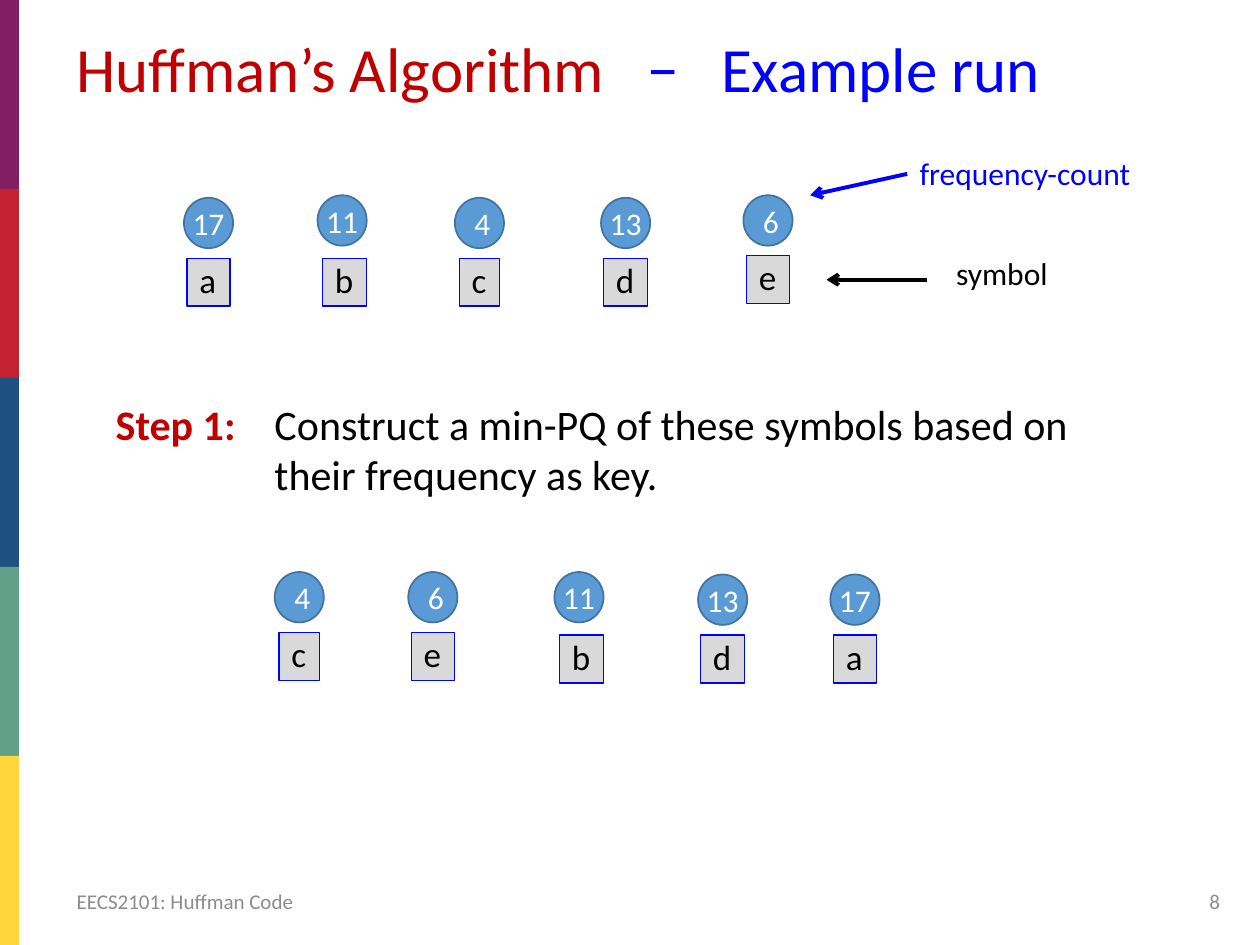
from lxml import etree
from pptx import Presentation
from pptx.dml.color import RGBColor
from pptx.enum.shapes import MSO_CONNECTOR, MSO_SHAPE
from pptx.enum.text import MSO_ANCHOR, MSO_AUTO_SIZE, PP_ALIGN
from pptx.oxml.ns import qn
from pptx.util import Inches, Pt

FONT = "Calibri"
RED, BLUE, BLACK, WHITE, GREY = "C00000", "0000FF", "000000", "FFFFFF", "8C8C8C"
BAND_COLORS = ["821E64", "C32330", "1E5082", "5FA087", "FFD73C"]
SYMBOL_WIDTHS = {"a": 0.34, "b": 0.35, "c": 0.32, "d": 0.35, "e": 0.34}
CIRCLE_WIDTH, CIRCLE_HEIGHT, BOX_HEIGHT = 0.39, 0.4, 0.38
INPUT_NODES = [("a", 17, 1.46, 1.57), ("b", 11, 2.52, 1.55), ("c", 4, 3.61, 1.57),
               ("d", 13, 4.77, 1.57), ("e", 6, 5.9, 1.55)]
QUEUE_NODES = [("c", 4, 2.18, 4.54), ("e", 6, 3.24, 4.54), ("b", 11, 4.4, 4.54),
               ("d", 13, 5.54, 4.56), ("a", 17, 6.59, 4.56)]


def rgb(color):
    """Turn a hex string into a colour."""
    return RGBColor.from_string(color)


def format_run(run, size, color, bold=False):
    """Set the font of one run."""
    run.font.name = FONT
    run.font.size = Pt(size)
    run.font.bold = bold
    run.font.color.rgb = rgb(color)


def add_panel(shapes, kind, left, top, width, height, fill, line=None, weight=1):
    """Add a flat preset shape with an optional outline."""
    shape = shapes.add_shape(kind, Inches(left), Inches(top), Inches(width), Inches(height))
    shape.shadow.inherit = False
    shape.fill.solid()
    shape.fill.fore_color.rgb = rgb(fill)
    if line:
        shape.line.color.rgb = rgb(line)
        shape.line.width = Pt(weight)
    else:
        shape.line.fill.background()
    return shape


def set_insets(text_frame, side, top, bottom):
    """Set the inner margins of a text frame."""
    text_frame.margin_left = text_frame.margin_right = Inches(side)
    text_frame.margin_top = Inches(top)
    text_frame.margin_bottom = Inches(bottom)


def add_text(shapes, left, top, width, height, runs, size, wrap=True, anchor=MSO_ANCHOR.TOP):
    """Add a one-paragraph text box from (text, colour, bold) runs and return the paragraph."""
    text_box = shapes.add_textbox(Inches(left), Inches(top), Inches(width), Inches(height))
    text_frame = text_box.text_frame
    text_frame.word_wrap = wrap
    text_frame.vertical_anchor = anchor
    if not wrap:
        text_frame.auto_size = MSO_AUTO_SIZE.SHAPE_TO_FIT_TEXT
    paragraph = text_frame.paragraphs[0]
    for text, color, bold in runs:
        run = paragraph.add_run()
        run.text = text
        format_run(run, size, color, bold)
    return paragraph


def add_node(shapes, symbol, count, left, top):
    """Add a frequency circle with its symbol box below."""
    shift, drop = (0.02, 0.5) if symbol == "b" else (0, 0.48)
    width = SYMBOL_WIDTHS[symbol]
    box = add_panel(shapes, MSO_SHAPE.RECTANGLE, left + (CIRCLE_WIDTH - width) / 2 + shift,
                    top + drop, width, BOX_HEIGHT, "D9D9D9", BLUE, 0.75)
    text_frame = box.text_frame
    text_frame.text = symbol
    text_frame.word_wrap = False
    text_frame.auto_size = MSO_AUTO_SIZE.SHAPE_TO_FIT_TEXT
    text_frame.vertical_anchor = MSO_ANCHOR.TOP
    set_insets(text_frame, 0.1, 0, 0.04)
    text_frame.paragraphs[0].alignment = PP_ALIGN.LEFT
    format_run(text_frame.paragraphs[0].runs[0], 20, BLACK)

    circle = add_panel(shapes, MSO_SHAPE.OVAL, left, top, CIRCLE_WIDTH, CIRCLE_HEIGHT,
                       "5B9BD5", "43739E")
    text_frame = circle.text_frame
    text_frame.text = str(count)
    text_frame.vertical_anchor = MSO_ANCHOR.MIDDLE
    set_insets(text_frame, 0.1 if count < 10 else 0, 0.05, 0.05)
    text_frame.paragraphs[0].alignment = PP_ALIGN.CENTER
    format_run(text_frame.paragraphs[0].runs[0], 18, WHITE)


def add_nodes(slide, nodes):
    """Add a grouped row of nodes and return its shapes."""
    shapes = slide.shapes.add_group_shape().shapes
    for node in nodes:
        add_node(shapes, *node)
    return shapes


def add_arrow(shapes, start, end, color):
    """Add a straight line with an open arrowhead at its end."""
    points = [Inches(value) for value in (*start, *end)]
    connector = shapes.add_connector(MSO_CONNECTOR.STRAIGHT, *points)
    connector.line.color.rgb = rgb(color)
    connector.line.width = Pt(2.25)
    etree.SubElement(connector.line._get_or_add_ln(), qn("a:tailEnd"), type="arrow")
    etree.SubElement(connector._element.spPr, qn("a:effectLst"))


def add_legend(shapes, left, top):
    """Add the two labels that point at the last input node."""
    add_text(shapes, left + 0.77, top, 1.94, 0.4, [("frequency-count", BLUE, False)], 18, False)
    add_text(shapes, left + 1.06, top + 0.8, 0.94, 0.4, [("symbol", BLACK, False)], 18, False)
    add_arrow(shapes, (left + 0.77, top + 0.21), (left, top + 0.38), BLUE)
    add_arrow(shapes, (left + 0.93, top + 1.05), (left + 0.13, top + 1.05), BLACK)


def add_side_bands(slide, left, top, width, height):
    """Add the stack of coloured bands."""
    band_height = height / len(BAND_COLORS)
    for index, color in enumerate(BAND_COLORS):
        add_panel(slide.shapes, MSO_SHAPE.RECTANGLE, left, top + index * band_height,
                  width, band_height, color)


def add_title(slide, left, top, width, height):
    """Add the two-coloured title."""
    runs = [("Huffman’s Algorithm   ", RED, False), ("−   Example run", BLUE, False)]
    add_text(slide.shapes, left, top, width, height, runs, 36).line_spacing = 0.9


def add_step(slide, left, top, width, height):
    """Add the step text with a hanging indent."""
    runs = [("Step 1:\t", RED, True),
            ("Construct a min-PQ of these symbols based on", BLACK, False)]
    paragraph = add_text(slide.shapes, left, top, width, height, runs, 24, False)
    paragraph.add_line_break()
    run = paragraph.add_run()
    run.text = "their frequency as key."
    format_run(run, 24, BLACK)
    properties = paragraph._p.get_or_add_pPr()
    properties.set("marL", str(Inches(1.26)))
    properties.set("indent", str(Inches(-1.26)))


def add_footer(slide, left, top, width, height):
    """Add the course name and the page number."""
    add_text(slide.shapes, left, top, 3.34, height, [("EECS2101: Huffman Code", GREY, False)],
             12, anchor=MSO_ANCHOR.MIDDLE)
    number = add_text(slide.shapes, left + width - 2.25, top, 2.25, height,
                      [("8", GREY, False)], 12, anchor=MSO_ANCHOR.MIDDLE)
    number.alignment = PP_ALIGN.RIGHT


def main():
    """Build the slide and save it."""
    presentation = Presentation()
    presentation.slide_width = Inches(10)
    presentation.slide_height = Inches(7.5)
    slide = presentation.slides.add_slide(presentation.slide_layouts[6])
    add_side_bands(slide, 0, 0, 0.15, 7.5)
    add_title(slide, 0.51, 0.25, 9.27, 1.01)
    add_footer(slide, 0.51, 6.95, 9.27, 0.4)
    add_legend(add_nodes(slide, INPUT_NODES), 6.43, 1.17)
    add_step(slide, 0.82, 3.11, 7.82, 0.91)
    add_nodes(slide, QUEUE_NODES)
    presentation.save("out.pptx")


if __name__ == "__main__":
    main()
